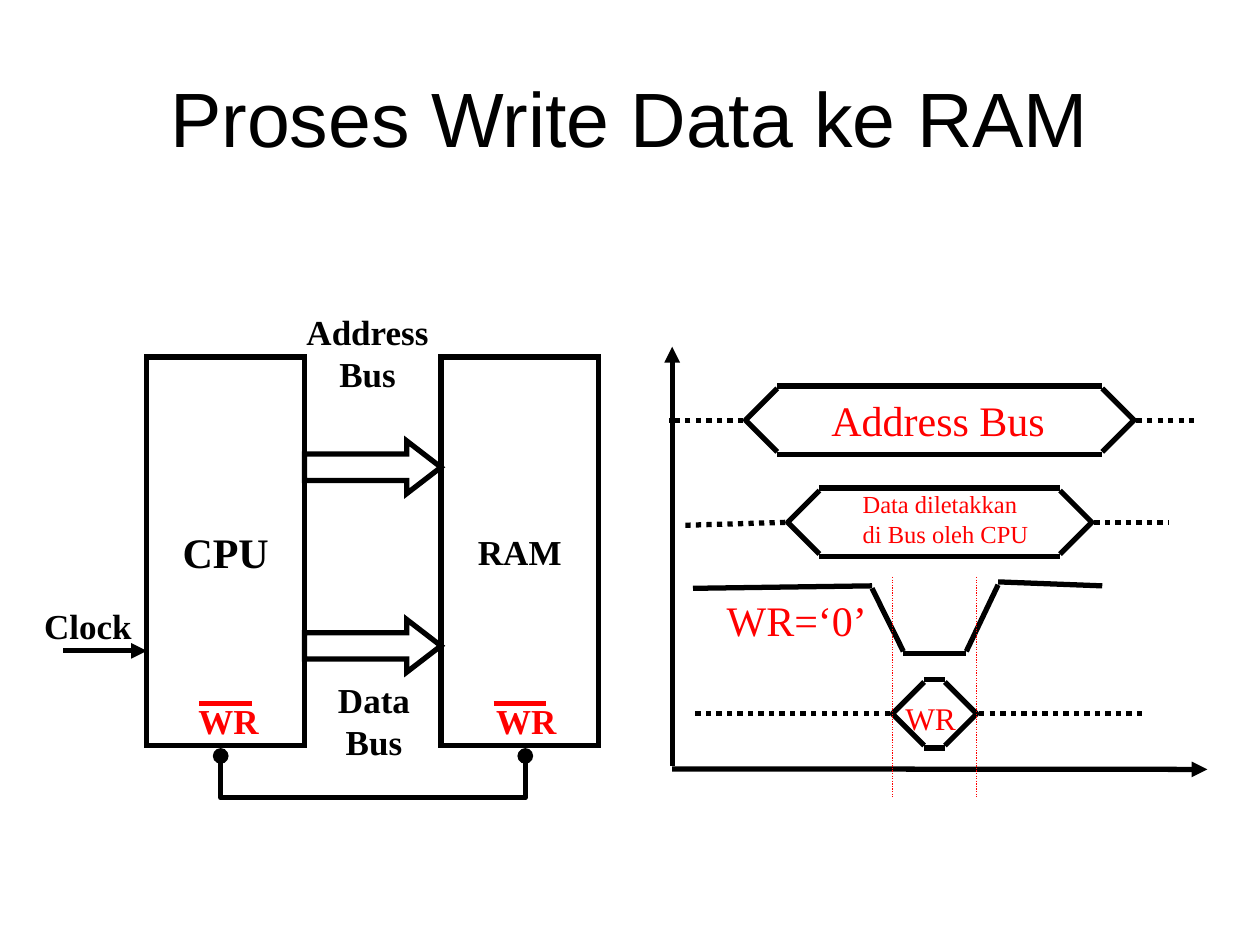
"""Build the slide on writing data to RAM: block diagram and timing chart."""
from pptx import Presentation
from pptx.dml.color import RGBColor as Rgb
from pptx.enum.dml import MSO_LINE as Dash
from pptx.enum.shapes import MSO_CONNECTOR as Link, MSO_SHAPE as Form
from pptx.enum.text import MSO_ANCHOR as Anchor, PP_ALIGN as Align
from pptx.oxml.ns import qn
from pptx.util import Cm, Pt
from lxml.etree import SubElement as Sub

THEME = {
    "black": Rgb(0, 0, 0), "red": Rgb(255, 0, 0),
    "head": "Arial", "body": "Times New Roman",
    "title": 44, "large": 24, "mid": 20, "small": 18, "tiny": 14,
    "thick": 3, "thin": 0.75,
}

TITLE = "Proses Write Data ke RAM"
CHIPS = [("CPU", 2.96, "large"), ("RAM", 8.89, "mid")]
CHIP_TOP, CHIP_W, CHIP_H = 7.2, 3.18, 7.83
ARROWS = [8.89, 12.49]
BUS = [(4.45, 15.24), (4.45, 16.08), (10.59, 16.08), (10.59, 15.24)]
BARS = [4.02, 9.95]

LABELS = [
    (["Address", "Bus"], (5.78, 6.14, 3.26, 1.96), "mid", "black", True, True),
    (["Data", "Bus"], (6.41, 13.55, 2.26, 1.96), "mid", "black", True, True),
    (["Clock"], (0.64, 12.07, 2.55, 1.12), "mid", "black", True, False),
    (["WR"], (3.75, 13.97, 2.03, 1.12), "mid", "red", True, False),
    (["WR"], (9.75, 13.97, 2.03, 1.12), "mid", "red", True, False),
    (["Address Bus"], (16.51, 7.83, 5.1, 1.27), "large", "red", False, False),
    (["WR=‘0’"], (14.4, 11.87, 3.63, 1.27), "large", "red", False, False),
    (["Data diletakkan", "di Bus oleh CPU"], (17.14, 9.74, 4.14, 1.45),
     "tiny", "red", False, False),
    (["WR"], (18, 13.97, 1.82, 1.02), "small", "red", False, False),
]

SIGNALS = [
    (13.49, 15.03, 22.86, 24.18, 8.47, 8.47),
    (13.77, 15.88, 22.01, 23.55, 10.53, 10.59),
    (13.97, 17.99, 19.69, 23.06, 14.39, 14.39),
]
NOTCH, EDGE, GAP = 0.64, 0.69, 0.05

PULSE = [
    (13.97, 11.86, 17.58, 11.81),
    (17.58, 11.86, 18.21, 13.13),
    (18.21, 13.18, 19.48, 13.18),
    (19.48, 13.13, 20.12, 11.79),
    (20.12, 11.73, 22.22, 11.81),
]
TIPPED = [
    (1.27, 13.12, 2.96, 13.12),
    (13.55, 15.44, 13.55, 6.99),
    (13.55, 15.5, 24.34, 15.51),
]
GUIDES = [17.99, 19.69]


def ink(shape, hue="black", wide="thick", dash=None, miter=False, head=None, tail=None):
    line = shape.line
    line.color.rgb = THEME[hue]
    line.width = Pt(THEME[wide])
    if dash:
        line.dash_style = dash
    node = shape._element.spPr.find(qn("a:ln"))
    if miter:
        Sub(node, qn("a:miter"), lim="800000")
    for tag, kind in (("a:headEnd", head), ("a:tailEnd", tail)):
        if kind:
            Sub(node, qn(tag), type=kind)


def stroke(slide, ends, **pen):
    line = slide.shapes.add_connector(Link.STRAIGHT, *map(Cm, ends))
    Sub(line._element.spPr, qn("a:effectLst"))
    ink(line, **pen)


def hollow(shape, **pen):
    shape.shadow.inherit = False
    shape.fill.background()
    ink(shape, **pen)
    return shape


def chain(slide, dots, **pen):
    dots = [(Cm(x), Cm(y)) for x, y in dots]
    build = slide.shapes.build_freeform(*dots[0])
    build.add_line_segments(dots[1:], close=False)
    hollow(build.convert_to_shape(), **pen)


def block(slide, form, box):
    return hollow(slide.shapes.add_shape(form, *map(Cm, box)), miter=True)


def write(frame, rows, size, hue="black", bold=False, face="body", mid=True):
    for i, row in enumerate(rows):
        para = frame.add_paragraph() if i else frame.paragraphs[0]
        para.alignment = Align.CENTER if mid else Align.LEFT
        run = para.add_run()
        run.text = row
        font = run.font
        font.name, font.size, font.bold = THEME[face], Pt(THEME[size]), bold
        font.color.rgb = THEME[hue]


def label(slide, rows, box, size, hue="black", bold=False, mid=True, face="body"):
    frame = slide.shapes.add_textbox(*map(Cm, box)).text_frame
    frame.word_wrap = True
    write(frame, rows, size, hue, bold, face, mid)
    return frame


def signal(slide, start, left, right, end, y, low):
    ins, out = left + NOTCH, right - NOTCH
    for tip, base in ((left, ins), (right, out)):
        chain(slide, [(base, y - NOTCH), (tip, y), (base, y + NOTCH)])
    for edge in (y - EDGE, y + EDGE):
        stroke(slide, (ins, edge, out, edge))
    stroke(slide, (left - GAP, y, start, low), dash=Dash.ROUND_DOT)
    stroke(slide, (right + GAP, y, end, y), dash=Dash.ROUND_DOT)


def main():
    deck = Presentation()
    deck.slide_width, deck.slide_height = Cm(25.4), Cm(19.05)
    slide = deck.slides.add_slide(deck.slide_layouts[6])

    title = label(slide, [TITLE], (1.27, 0.76, 22.86, 3.18), "title", face="head")
    title.vertical_anchor = Anchor.MIDDLE

    for name, left, size in CHIPS:
        frame = block(slide, Form.RECTANGLE, (left, CHIP_TOP, CHIP_W, CHIP_H)).text_frame
        frame.word_wrap = False
        frame.vertical_anchor = Anchor.MIDDLE
        write(frame, [name], size, bold=True)
    for top in ARROWS:
        arrow = block(slide, Form.RIGHT_ARROW, (6.14, top, 2.75, 1.06))
        arrow.adjustments[0], arrow.adjustments[1] = 0.5, 0.65
    chain(slide, BUS, head="oval", tail="oval")
    for left in BARS:
        stroke(slide, (left, 14.18, left + 1.06, 14.18), hue="red")

    for row in SIGNALS:
        signal(slide, *row)
    for ends in PULSE:
        stroke(slide, ends)
    for ends in TIPPED:
        stroke(slide, ends, tail="triangle")
    for x in GUIDES:
        stroke(slide, (x, 11.63, x, 16.08), hue="red", wide="thin", dash=Dash.ROUND_DOT)
    for row in LABELS:
        label(slide, *row)

    deck.save("out.pptx")


if __name__ == "__main__":
    main()
